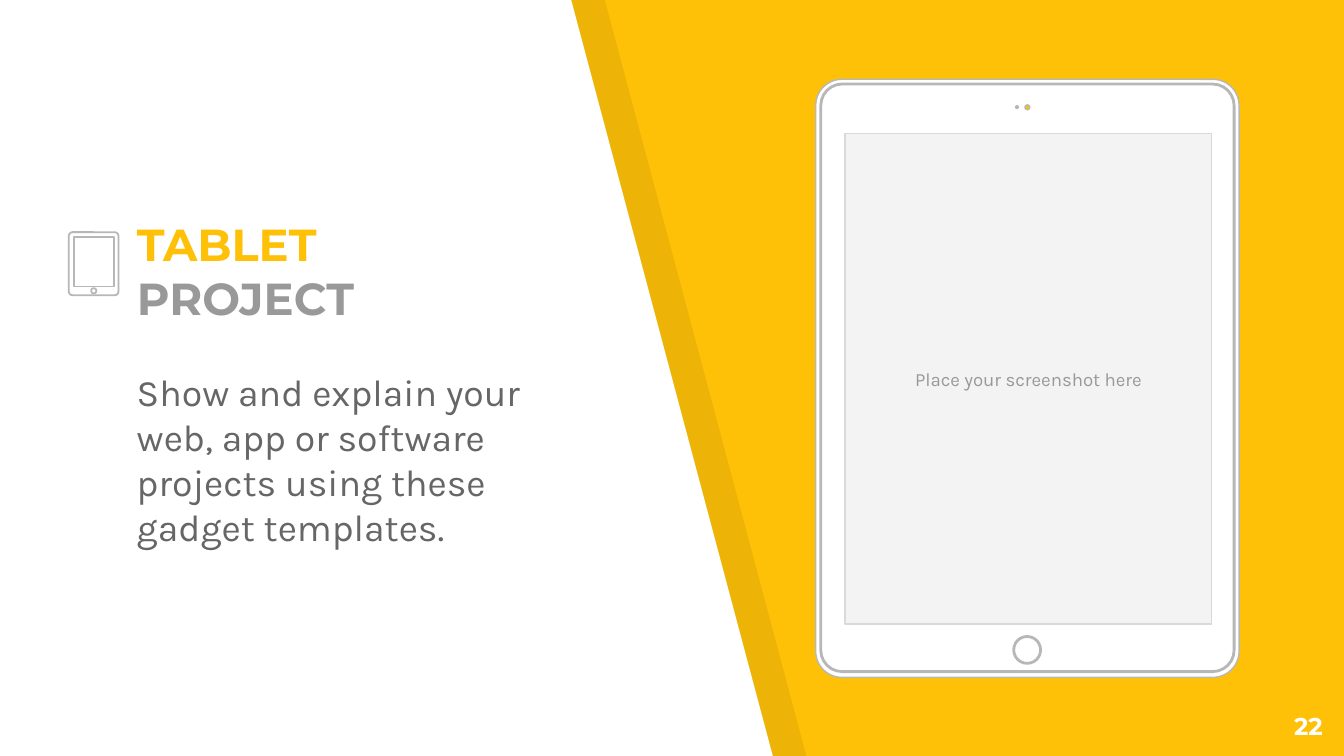
"""Build the tablet project slide."""
from lxml import etree
from pptx import Presentation
from pptx import util as u
from pptx.dml.color import RGBColor
from pptx.enum import shapes, text
from pptx.oxml.ns import qn

YELLOW = RGBColor(0xFF, 0xC1, 0x07)
WHITE = RGBColor(0xFF, 0xFF, 0xFF)
BLACK = RGBColor(0x00, 0x00, 0x00)
OUTLINE = RGBColor(0xB7, 0xB7, 0xB7)
SCREEN = RGBColor(0xF3, 0xF3, 0xF3)
SCREEN_EDGE = RGBColor(0xD9, 0xD9, 0xD9)
GREY = RGBColor(0x99, 0x99, 0x99)
DARK = RGBColor(0x66, 0x66, 0x66)
W, H = 720, 405
RECT = shapes.MSO_SHAPE.RECTANGLE
ROUND = shapes.MSO_SHAPE.ROUNDED_RECTANGLE
OVAL = shapes.MSO_SHAPE.OVAL


def write(p, words, font="Karla", size=20, color=DARK, bold=False,
          align=text.PP_ALIGN.LEFT):
    """Add a formatted run to a paragraph."""
    p.alignment = align
    p.space_before = u.Pt(0)
    r = p.add_run()
    r.text = words
    r.font.name, r.font.size, r.font.bold = font, u.Pt(size), bold
    r.font.color.rgb = color


class Deck:
    """Hold the style and the current slide."""

    inset = u.Pt(7.2)

    def __init__(self, prs):
        """Add a title-only slide with a yellow background."""
        self.s = prs.slides.add_slide(prs.slide_layouts[5])
        fill = self.s.background.fill
        fill.solid()
        fill.fore_color.rgb = YELLOW

    def frame(self, sp, anchor):
        """Set the margins, wrapping and anchor of a text frame."""
        tf = sp.text_frame
        tf.margin_left = tf.margin_right = self.inset
        tf.margin_top = tf.margin_bottom = self.inset
        tf.word_wrap = True
        tf.auto_size = text.MSO_AUTO_SIZE.NONE
        tf.vertical_anchor = anchor
        return tf

    def paint(self, sp, fill, line=None, width=0.75):
        """Set the fill and outline of a shape."""
        sp.shadow.inherit = False
        if fill is None:
            sp.fill.background()
        else:
            sp.fill.solid()
            sp.fill.fore_color.rgb = fill
        if line is None:
            sp.line.fill.background()
        else:
            sp.line.color.rgb = line
            sp.line.width = u.Pt(width)

    def panel(self, dx, fill, alpha=None):
        """Draw the slanted panel, shifted right by dx."""
        fb = self.s.shapes.build_freeform(dx, 0, scale=u.Pt(1))
        fb.add_line_segments([(306 + dx, 0), (414.5 + dx, H), (dx, H)])
        sp = fb.convert_to_shape()
        self.paint(sp, fill)
        if alpha is not None:
            clr = sp.fill._xPr.find(".//" + qn("a:srgbClr"))
            etree.SubElement(clr, qn("a:alpha"), val=str(alpha * 1000))

    def shape(self, kind, x, y, w, h, fill=None, line=OUTLINE, width=0.75, radius=0):
        """Draw a preset shape."""
        sp = self.s.shapes.add_shape(kind, u.Pt(x), u.Pt(y), u.Pt(w), u.Pt(h))
        self.paint(sp, fill, line, width)
        if radius:
            sp.adjustments[0] = radius / min(w, h)
        return sp

    def title(self, x, y, w, h, lines):
        """Place the title in front, one coloured line per paragraph."""
        sp = self.s.shapes.title
        sp.left, sp.top, sp.width, sp.height = map(u.Pt, (x, y, w, h))
        sp.element.getparent().append(sp.element)
        tf = self.frame(sp, text.MSO_ANCHOR.BOTTOM)
        for i, (words, color) in enumerate(lines):
            p = tf.add_paragraph() if i else tf.paragraphs[0]
            write(p, words, font="Montserrat", size=24, color=color, bold=True)

    def textbox(self, x, y, w, h, words, **fmt):
        """Place a text box."""
        sp = self.s.shapes.add_textbox(u.Pt(x), u.Pt(y), u.Pt(w), u.Pt(h))
        tf = self.frame(sp, text.MSO_ANCHOR.TOP)
        write(tf.paragraphs[0], words, **fmt)

    def tablet(self):
        """Draw the large tablet with its screen."""
        self.shape(ROUND, 437, 42.5, 226.8, 320.4, WHITE, radius=14)
        self.shape(ROUND, 439.7, 45, 221.4, 314.8, WHITE, width=1.5, radius=11.5)
        self.shape(OVAL, 544.1, 56.7, 1.4, 1.4, OUTLINE)
        self.shape(OVAL, 549.1, 56.2, 2.6, 2.6, YELLOW)
        self.shape(OVAL, 543.1, 341, 14.4, 14.4, WHITE, width=1.5)
        sp = self.shape(RECT, 452.6, 71.7, 196.6, 262.6, SCREEN, SCREEN_EDGE)
        tf = self.frame(sp, text.MSO_ANCHOR.MIDDLE)
        write(tf.paragraphs[0], "Place your screenshot here", size=10,
              color=GREY, align=text.PP_ALIGN.CENTER)

    def icon(self):
        """Draw the small tablet icon."""
        self.shape(ROUND, 36.9, 124.4, 26.6, 33.8, width=0.96, radius=2)
        self.shape(RECT, 39.5, 126.8, 21.6, 26.7, width=0.96)
        self.shape(OVAL, 48.8, 154.4, 2.8, 2.8, width=0.96)


def main():
    """Build and save the slide."""
    prs = Presentation()
    prs.slide_width, prs.slide_height = u.Pt(W), u.Pt(H)
    deck = Deck(prs)
    deck.panel(18, BLACK, alpha=7)
    deck.panel(0, WHITE)
    deck.tablet()
    deck.title(66.2, 142.3, 247.7, 38.5, [("TABLET", YELLOW), ("PROJECT", GREY)])
    deck.textbox(66.2, 190.8, 247.7, 177.8,
                 "Show and explain your web, app or software projects "
                 "using these gadget templates.")
    deck.icon()
    deck.textbox(672.5, 373.7, 43.2, 31, "22", font="Montserrat", size=13,
                 color=WHITE, bold=True, align=text.PP_ALIGN.RIGHT)
    prs.save("out.pptx")


if __name__ == "__main__":
    main()
